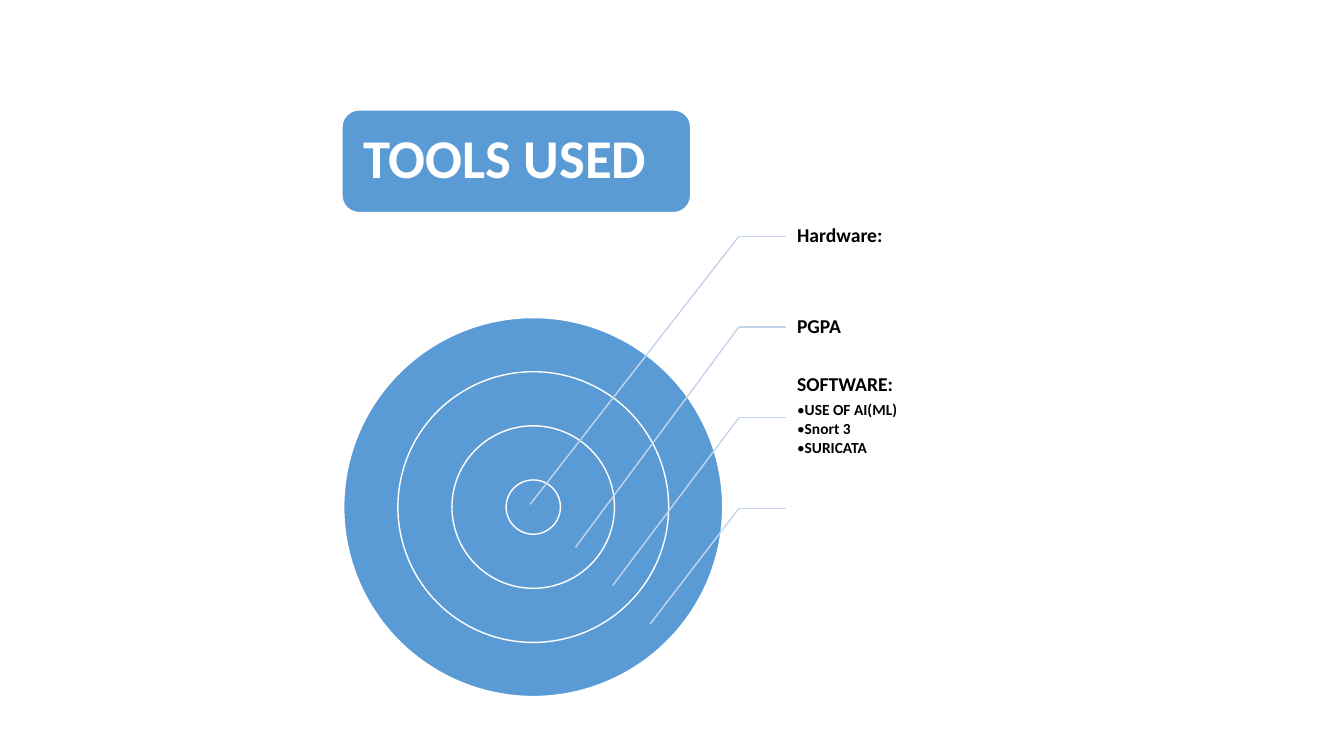
"""Build the "Tools used" slide: a target of rings with labelled leader lines."""
from lxml import etree
from pptx import Presentation
from pptx.dml.color import RGBColor
from pptx.enum.shapes import MSO_CONNECTOR, MSO_SHAPE
from pptx.enum.text import MSO_ANCHOR, PP_ALIGN
from pptx.oxml.ns import qn
from pptx.util import Pt

ROUNDED = MSO_SHAPE.ROUNDED_RECTANGLE
OVAL = MSO_SHAPE.OVAL
STRAIGHT = MSO_CONNECTOR.STRAIGHT
MIDDLE = MSO_ANCHOR.MIDDLE
TOP = MSO_ANCHOR.TOP
LEFT = PP_ALIGN.LEFT
LEFT_SIDE = 1

BLUE = "5B9BD5"
PALE_BLUE = "C4D5EB"
WHITE = "FFFFFF"
BLACK = "000000"


def color(hex_string):
    return RGBColor.from_string(hex_string)


def format_paragraph(paragraph, size, hex_string, space_after):
    paragraph.alignment = LEFT
    paragraph.line_spacing = 0.9
    paragraph.space_before = Pt(0)
    paragraph.space_after = Pt(space_after)
    for run in paragraph.runs:
        run.font.name = "Calibri"
        run.font.size = Pt(size)
        run.font.bold = True
        run.font.color.rgb = color(hex_string)


presentation = Presentation()
presentation.slide_width = Pt(960)
presentation.slide_height = Pt(540)
slide = presentation.slides.add_slide(presentation.slide_layouts[6])

center_x, center_y = 380.9, 362.2
ring_step = 77.3
blue_shapes = [(ROUNDED, 244.3, 78.5, 249.1, 73.4)]
for ring in range(4):
    diameter = 270.7 - ring * ring_step
    blue_shapes.append(
        (OVAL, center_x - diameter / 2, center_y - diameter / 2, diameter, diameter))

for kind, left, top, width, height in blue_shapes:
    shape = slide.shapes.add_shape(kind, Pt(left), Pt(top), Pt(width), Pt(height))
    shape.shadow.inherit = False
    shape.fill.solid()
    shape.fill.fore_color.rgb = color(BLUE)
    shape.line.color.rgb = color(WHITE)
    shape.line.width = Pt(1)
    if kind == ROUNDED:
        title_frame = shape.text_frame
        title_frame.text = "TOOLS USED"
        title_frame.word_wrap = True
        title_frame.vertical_anchor = MIDDLE
        title_frame.margin_left = title_frame.margin_right = Pt(11.7)
        format_paragraph(title_frame.paragraphs[0], 39, WHITE, 0)

label_left, label_top = 561.6, 136.4
label_width, label_height = 135.4, 64.8
elbow_x = 527.8
labels = [
    ("Hardware:", [], MIDDLE, (378.7, 360.3)),
    ("PGPA", [], MIDDLE, (411.1, 391)),
    ("SOFTWARE:", ["USE OF AI(ML)", "Snort 3", "SURICATA"], TOP, (437.6, 418.3)),
    (None, [], TOP, (464.4, 445.7)),
]

for row, (heading, items, anchor, (tip_x, tip_y)) in enumerate(labels):
    row_top = label_top + row * label_height
    row_middle = row_top + label_height / 2
    stub = slide.shapes.add_connector(
        STRAIGHT, Pt(elbow_x), Pt(row_middle), Pt(label_left), Pt(row_middle))
    leader = slide.shapes.add_connector(
        STRAIGHT, Pt(elbow_x), Pt(row_middle), Pt(tip_x), Pt(tip_y))
    for connector in (stub, leader):
        connector.line.color.rgb = color(PALE_BLUE)
        connector.line.width = Pt(1)
        etree.SubElement(connector._element.spPr, qn("a:effectLst"))
    if heading is None:
        continue

    label = slide.shapes.add_textbox(
        Pt(label_left), Pt(row_top), Pt(label_width), Pt(label_height))
    stub.end_connect(label, LEFT_SIDE)
    frame = label.text_frame
    frame.word_wrap = True
    frame.vertical_anchor = anchor
    frame.margin_left = Pt(7.7)
    frame.margin_top = frame.margin_right = frame.margin_bottom = Pt(1.5)
    frame.text = heading
    format_paragraph(frame.paragraphs[0], 14, BLACK, 4.9)
    for item in items:
        paragraph = frame.add_paragraph()
        paragraph.text = item
        paragraph.level = 1
        format_paragraph(paragraph, 11, BLACK, 1.65)
        properties = paragraph._p.get_or_add_pPr()
        properties.set("marL", str(Pt(4.5)))
        properties.set("indent", str(-Pt(4.5)))
        etree.SubElement(properties, qn("a:buFont"), typeface="Calibri")
        etree.SubElement(properties, qn("a:buChar"), char="•")

presentation.save("out.pptx")
